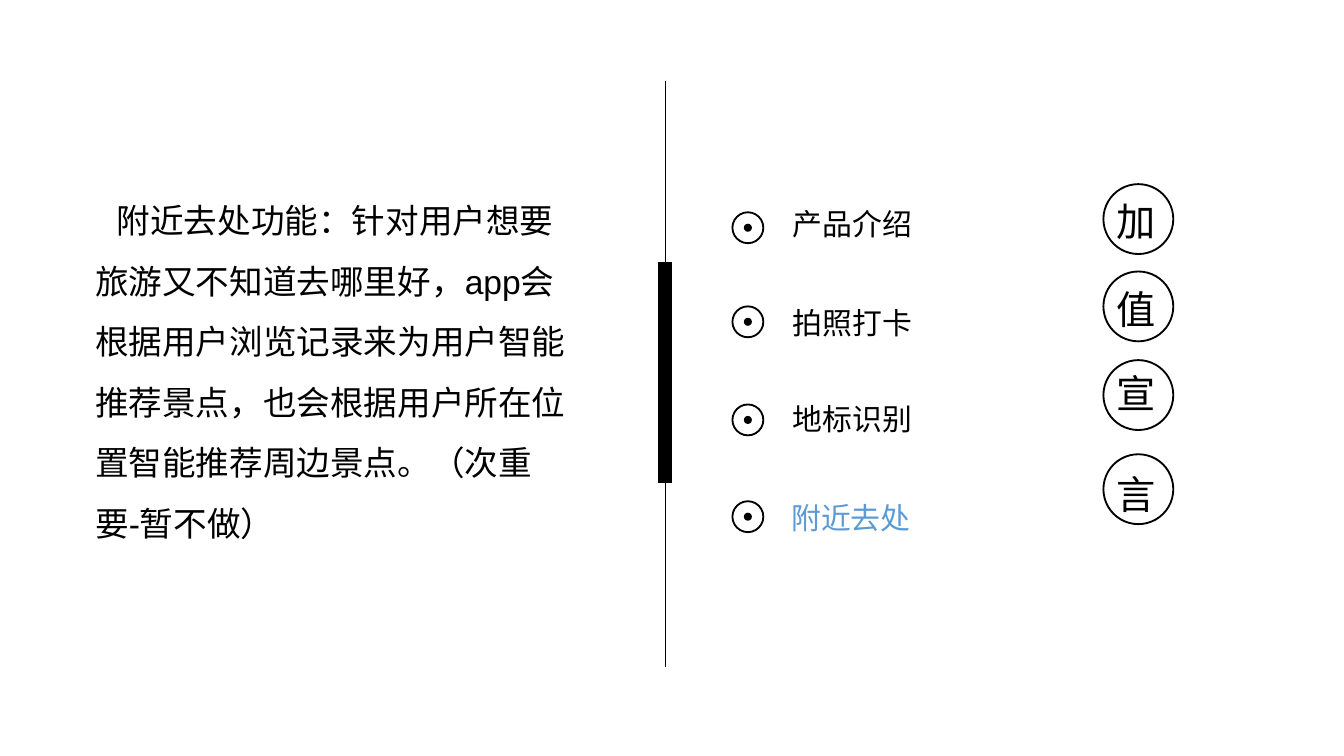
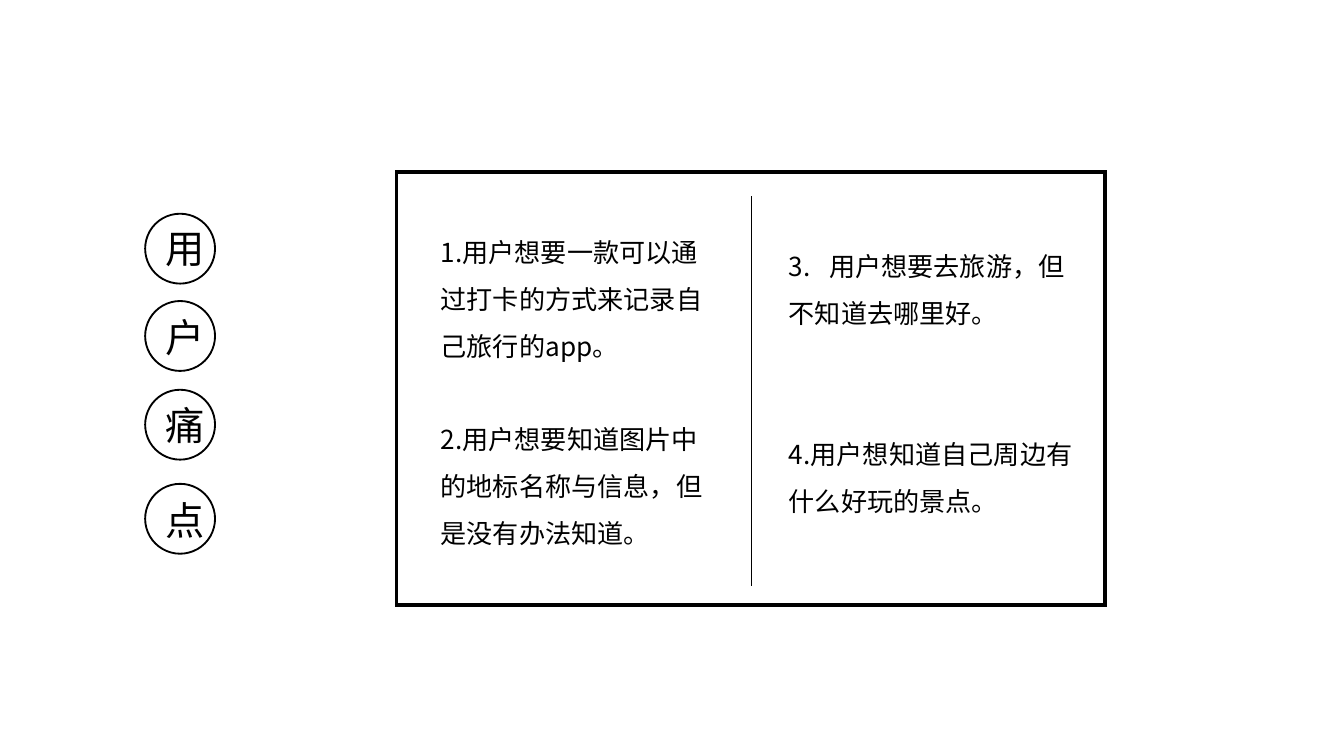
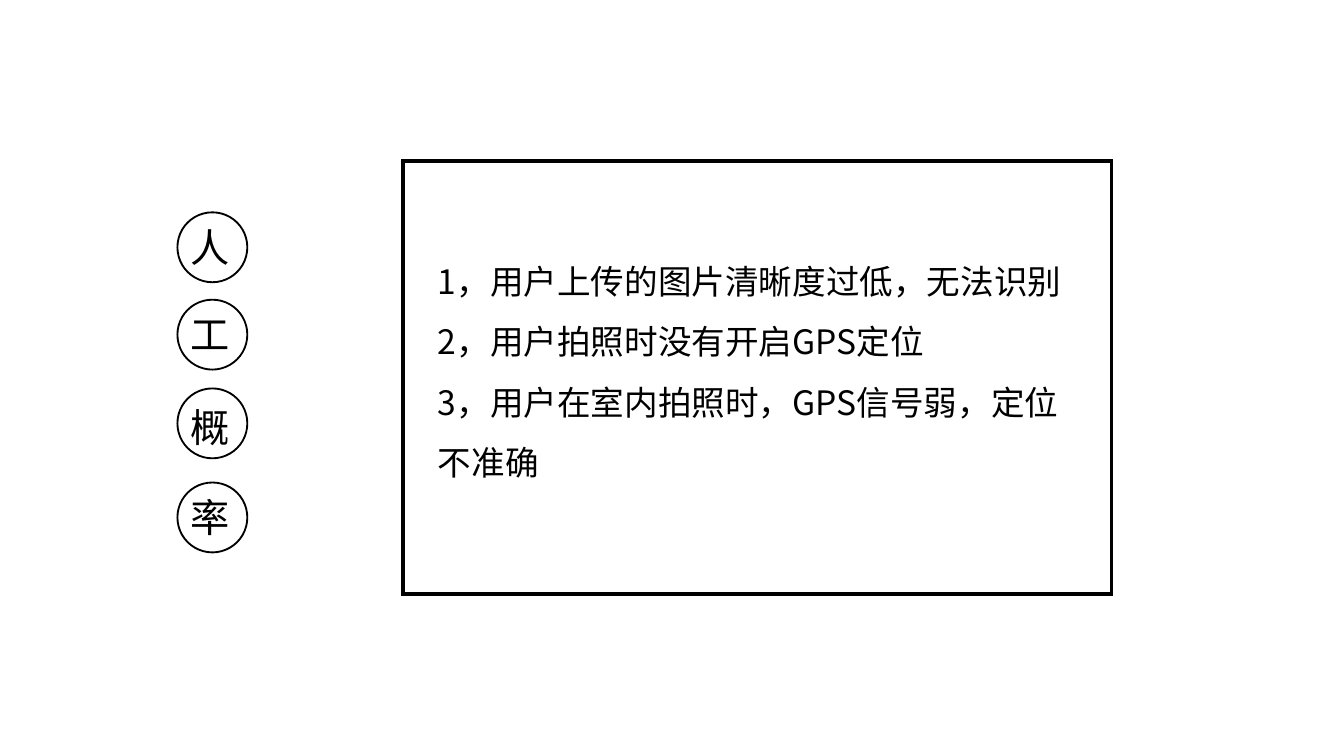
from lxml.etree import SubElement
from pptx import Presentation
from pptx.dml.color import RGBColor
from pptx.enum.shapes import MSO_CONNECTOR, MSO_SHAPE
from pptx.enum.text import MSO_AUTO_SIZE
from pptx.oxml.ns import qn
from pptx.util import Inches, Pt

BLACK = RGBColor(0x00, 0x00, 0x00)
HIGHLIGHT = RGBColor(0x5B, 0x9B, 0xD5)

LATIN_FONT = "Arial"
CJK_FONT = "Noto Sans CJK SC"

SLIDE_WIDTH = Inches(10)
SLIDE_HEIGHT = SLIDE_WIDTH * 9 // 16
RING_SIZE = 0.52
RING_OFFSETS = (0, 0.65, 1.31, 2.01)
BULLET_SIZE = 0.23
DOT_SIZE = 0.06
BLANK_LAYOUT = 6


def add_outline(slide, kind, left, top, width, height, weight=1, fill=None):
    """Add a black-lined shape; weight 0 drops the line, no fill leaves it hollow."""
    outline = slide.shapes.add_shape(
        kind, Inches(left), Inches(top), Inches(width), Inches(height))
    outline.shadow.inherit = False
    if fill is None:
        outline.fill.background()
    else:
        outline.fill.solid()
        outline.fill.fore_color.rgb = fill
    if weight:
        outline.line.color.rgb = BLACK
        outline.line.width = Pt(weight)
        SubElement(outline._element.spPr.find(qn("a:ln")), qn("a:miter"), lim="800000")
    else:
        outline.line.fill.background()


def add_rule(slide, x, top, bottom):
    """Add a thin vertical line."""
    rule = slide.shapes.add_connector(
        MSO_CONNECTOR.STRAIGHT, Inches(x), Inches(top), Inches(x), Inches(bottom))
    rule.line.color.rgb = BLACK
    rule.line.width = Pt(0.5)
    SubElement(rule._element.spPr, qn("a:effectLst"))


def add_text(slide, box, paragraphs, size, font=CJK_FONT, color=BLACK,
             line_spacing=None, gap=0):
    """Add a text box at box (left, top, width, height); gap separates paragraphs."""
    frame = slide.shapes.add_textbox(*map(Inches, box)).text_frame
    frame.word_wrap = True
    frame.auto_size = MSO_AUTO_SIZE.SHAPE_TO_FIT_TEXT
    frame.text = "\n".join(paragraphs)
    for index, paragraph in enumerate(frame.paragraphs):
        if line_spacing:
            paragraph.line_spacing = line_spacing
        if index and gap:
            paragraph.space_before = Pt(gap)
        for run in paragraph.runs:
            run.font.name = font
            run.font.size = Pt(size)
            run.font.color.rgb = color
    return frame


def set_tab_stop(paragraph, position):
    stops = SubElement(paragraph._p.get_or_add_pPr(), qn("a:tabLst"))
    SubElement(stops, qn("a:tab"), pos=str(Inches(position)), algn="l")


def add_ring_title(slide, title, left, top, text_left, drops, font=CJK_FONT):
    """Stack the title's characters in rings; drops place each below its ring's top."""
    for character, offset, drop in zip(title, RING_OFFSETS, drops):
        ring_top = top + offset
        add_outline(slide, MSO_SHAPE.OVAL, left, ring_top, RING_SIZE, RING_SIZE)
        add_text(slide, (text_left, ring_top + drop, 0.37, 0.45), [character], 21, font)


def add_menu_item(slide, label, bullet_top, label_left, label_top, color=BLACK):
    left = 5.45
    inset = (BULLET_SIZE - DOT_SIZE) / 2
    add_outline(slide, MSO_SHAPE.OVAL, left, bullet_top, BULLET_SIZE, BULLET_SIZE)
    add_outline(slide, MSO_SHAPE.OVAL, left + inset, bullet_top + inset,
                DOT_SIZE, DOT_SIZE, weight=0, fill=BLACK)
    add_text(slide, (label_left, label_top, 1.99, 0.37), [label], 16, LATIN_FONT, color)


def add_frame(slide, left, top):
    add_outline(slide, MSO_SHAPE.RECTANGLE, left, top, 5.27, 3.22, weight=2)


def build_value_slide(slide):
    add_rule(slide, 4.95, 0.6, 4.96)
    add_outline(slide, MSO_SHAPE.RECTANGLE, 4.9, 1.96, 0.09, 1.63, fill=BLACK)
    for label, bullet_top, label_left, label_top, color in (
        ("产品介绍", 1.58, 5.8, 1.48, BLACK),
        ("拍照打卡", 2.28, 5.8, 2.22, BLACK),
        ("地标识别", 3.01, 5.8, 2.93, BLACK),
        ("附近去处", 3.73, 5.79, 3.67, HIGHLIGHT),
    ):
        add_menu_item(slide, label, bullet_top, label_left, label_top, color)
    add_ring_title(slide, "加值宣言", 8.21, 1.37, 8.21,
                   (0.05, 0.05, 0.02, 0.07), LATIN_FONT)
    feature = add_text(
        slide, (0.61, 1.29, 3.75, 3.28),
        ["附近去处功能：针对用户想要旅游又不知道去哪里好，app会根据用户浏览记录"
         "来为用户智能推荐景点，也会根据用户所在位置智能推荐周边景点。（次重要-暂不做）"],
        18, LATIN_FONT, line_spacing=1.5)
    feature.paragraphs[0]._p.get_or_add_pPr().set("indent", str(Inches(0.16)))


def build_pain_point_slide(slide):
    add_frame(slide, 2.95, 1.28)
    add_ring_title(slide, "用户痛点", 1.08, 1.59, 1.13, (0.03, 0.04, 0.04, 0.04))
    add_text(slide, (3.18, 1.59, 2.27, 2.93),
             ["1.用户想要一款可以通过打卡的方式来记录自己旅行的app。",
              "2.用户想要知道图片中的地标名称与信息，但是没有办法知道。"],
             14, line_spacing=1.5, gap=25)
    add_rule(slide, 5.59, 1.46, 4.36)
    travel_needs = add_text(slide, (5.77, 1.7, 2.32, 2.57),
                            ["3.\t用户想要去旅游，但不知道去哪里好。",
                             "4.用户想知道自己周边有什么好玩的景点。"],
                            14, line_spacing=1.5, gap=50)
    set_tab_stop(travel_needs.paragraphs[0], 0.3)


def build_manual_slide(slide):
    add_frame(slide, 3, 1.2)
    add_ring_title(slide, "人工概率", 1.32, 1.58, 1.32, (0.03, 0.03, 0.06, 0.03))
    add_text(slide, (3.16, 1.74, 4.95, 2.37),
             ["1，用户上传的图片清晰度过低，无法识别",
              "2，用户拍照时没有开启GPS定位",
              "3，用户在室内拍照时，GPS信号弱，定位不准确"],
             18, line_spacing=1.5)


def main():
    deck = Presentation()
    deck.slide_width = SLIDE_WIDTH
    deck.slide_height = SLIDE_HEIGHT
    for build in (build_value_slide, build_pain_point_slide, build_manual_slide):
        build(deck.slides.add_slide(deck.slide_layouts[BLANK_LAYOUT]))
    deck.save("out.pptx")


if __name__ == "__main__":
    main()
